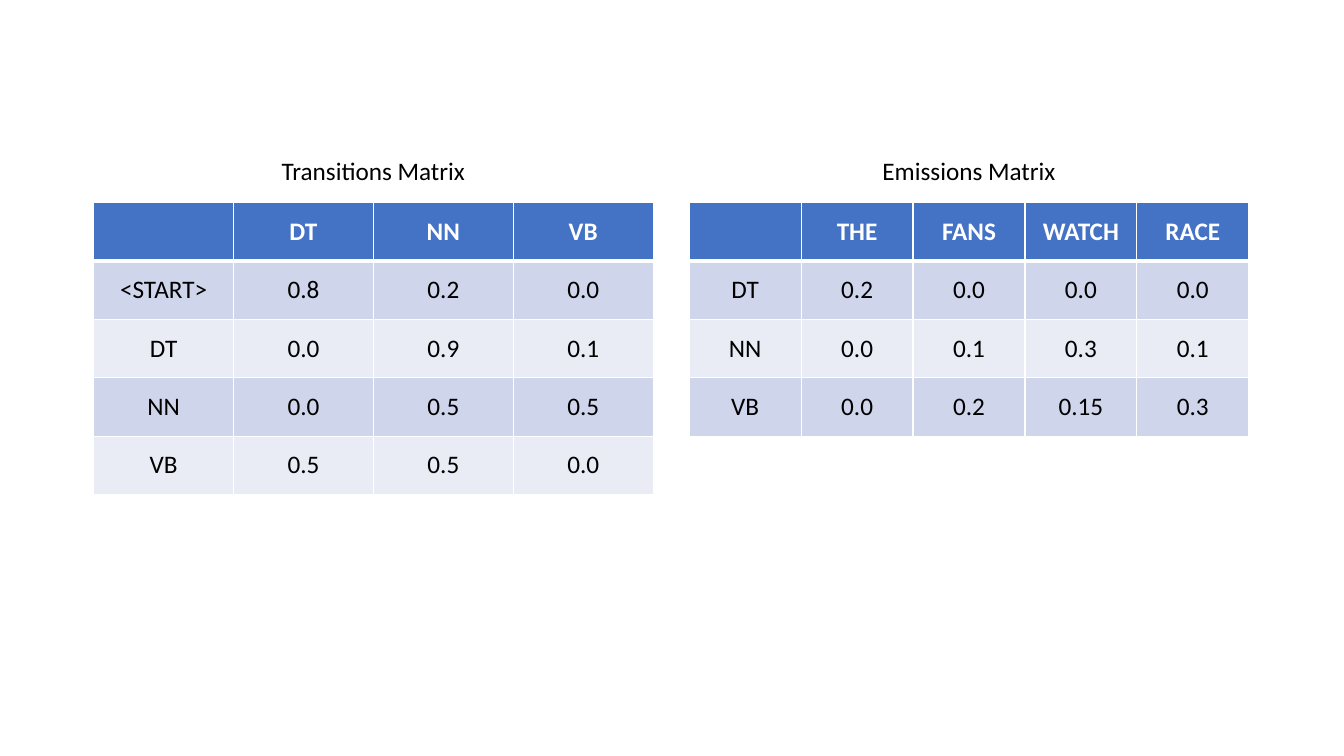
import pptx
import pptx.dml.color
import pptx.enum.text
import pptx.oxml
import pptx.oxml.ns
import pptx.util
from pptx.util import Cm

COLOURS = {
    "header": "4472C4",
    "band_dark": "CFD5EA",
    "band_light": "E9EBF5",
    "border": "FFFFFF",
    "header_text": "FFFFFF",
    "text": "000000",
}
FONT = "Calibri"
TABLE_WIDTH = Cm(14.1)
ROW_HEIGHT = Cm(1.47)
CAPTION_HEIGHT = Cm(1.02)
CAPTION_RISE = Cm(1.33)

TRANSITIONS = [
    ["", "DT", "NN", "VB"],
    ["<START>", "0.8", "0.2", "0.0"],
    ["DT", "0.0", "0.9", "0.1"],
    ["NN", "0.0", "0.5", "0.5"],
    ["VB", "0.5", "0.5", "0.0"],
]
EMISSIONS = [
    ["", "THE", "FANS", "WATCH", "RACE"],
    ["DT", "0.2", "0.0", "0.0", "0.0"],
    ["NN", "0.0", "0.1", "0.3", "0.1"],
    ["VB", "0.0", "0.2", "0.15", "0.3"],
]


def colour(name):
    return pptx.dml.color.RGBColor.from_string(COLOURS[name])


def write(text_frame, text, colour_name, bold=False):
    text_frame.text = text
    para = text_frame.paragraphs[0]
    para.alignment = pptx.enum.text.PP_ALIGN.CENTER
    for span in para.runs:
        span.font.name = FONT
        span.font.size = pptx.util.Pt(18)
        span.font.bold = bold
        span.font.color.rgb = colour(colour_name)


def add_borders(cell, top, bottom):
    properties = cell._tc.get_or_add_tcPr()
    for side, points in (("L", 1), ("R", 1), ("T", top), ("B", bottom)):
        properties.append(pptx.oxml.parse_xml(
            f'<a:ln{side} {pptx.oxml.ns.nsdecls("a")} w="{pptx.util.Pt(points)}">'
            f'<a:solidFill><a:srgbClr val="{COLOURS["border"]}"/></a:solidFill>'
            f'</a:ln{side}>'))


def add_caption(page, text, left, top, width):
    box = page.shapes.add_textbox(left, top, width, CAPTION_HEIGHT)
    box.text_frame.word_wrap = False
    box.text_frame.auto_size = pptx.enum.text.MSO_AUTO_SIZE.SHAPE_TO_FIT_TEXT
    write(box.text_frame, text, "text")


def add_matrix(page, caption, caption_width, values, left, top):
    column_count = len(values[0])
    table = page.shapes.add_table(
        len(values), column_count, left, top,
        TABLE_WIDTH, ROW_HEIGHT * len(values)).table
    for column in table.columns:
        column.width = TABLE_WIDTH // column_count
    for row_index, row_values in enumerate(values):
        table.rows[row_index].height = ROW_HEIGHT
        is_header = row_index == 0
        if is_header:
            fill_name = "header"
        else:
            fill_name = "band_dark" if row_index % 2 else "band_light"
        for column_index, value in enumerate(row_values):
            cell = table.cell(row_index, column_index)
            add_borders(cell, 3 if row_index == 1 else 1, 3 if is_header else 1)
            cell.fill.solid()
            cell.fill.fore_color.rgb = colour(fill_name)
            cell.vertical_anchor = pptx.enum.text.MSO_ANCHOR.MIDDLE
            write(cell.text_frame, value,
                  "header_text" if is_header else "text", is_header)
    add_caption(page, caption, left + (TABLE_WIDTH - caption_width) // 2,
                top - CAPTION_RISE, caption_width)


deck = pptx.Presentation()
deck.slide_width = Cm(33.87)
deck.slide_height = Cm(19.05)
page = deck.slides.add_slide(deck.slide_layouts[6])
add_matrix(page, "Transitions Matrix", Cm(5.18), TRANSITIONS, Cm(2.36), Cm(5.11))
add_matrix(page, "Emissions Matrix", Cm(4.9), EMISSIONS, Cm(17.37), Cm(5.11))
deck.save("out.pptx")
